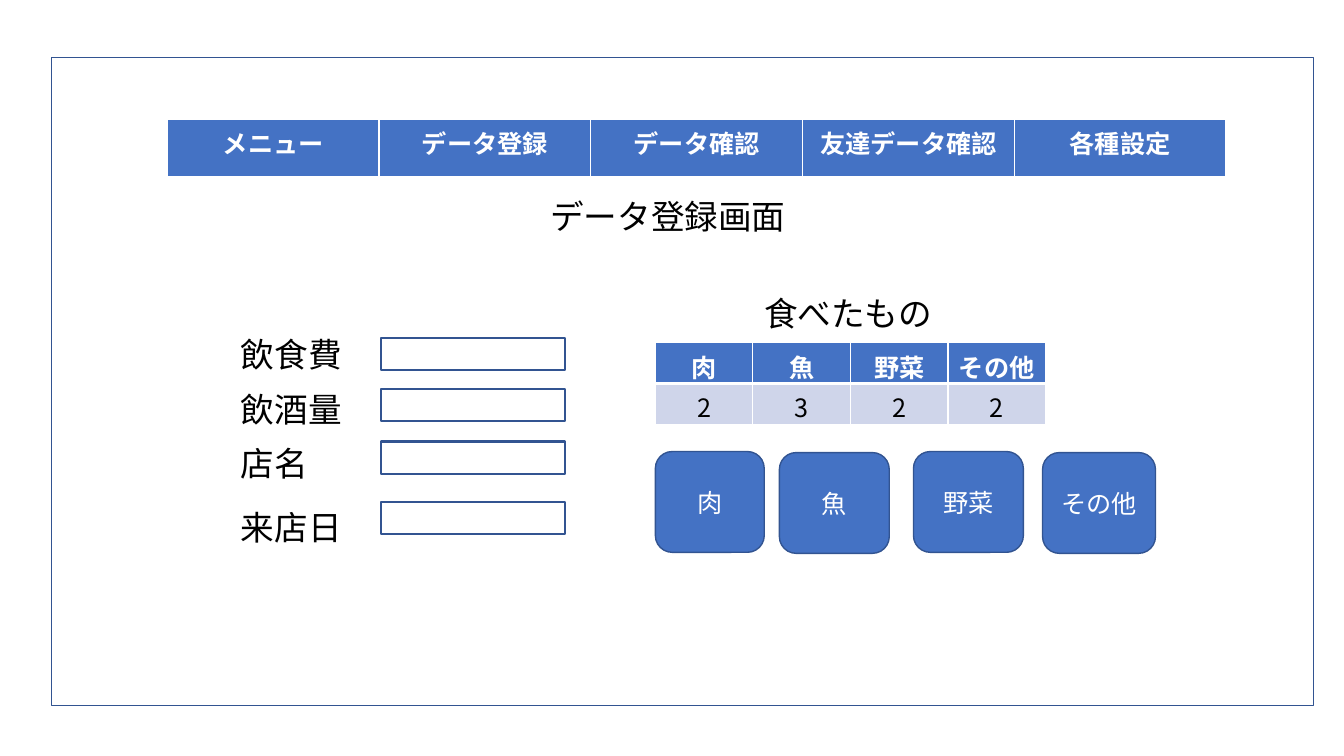
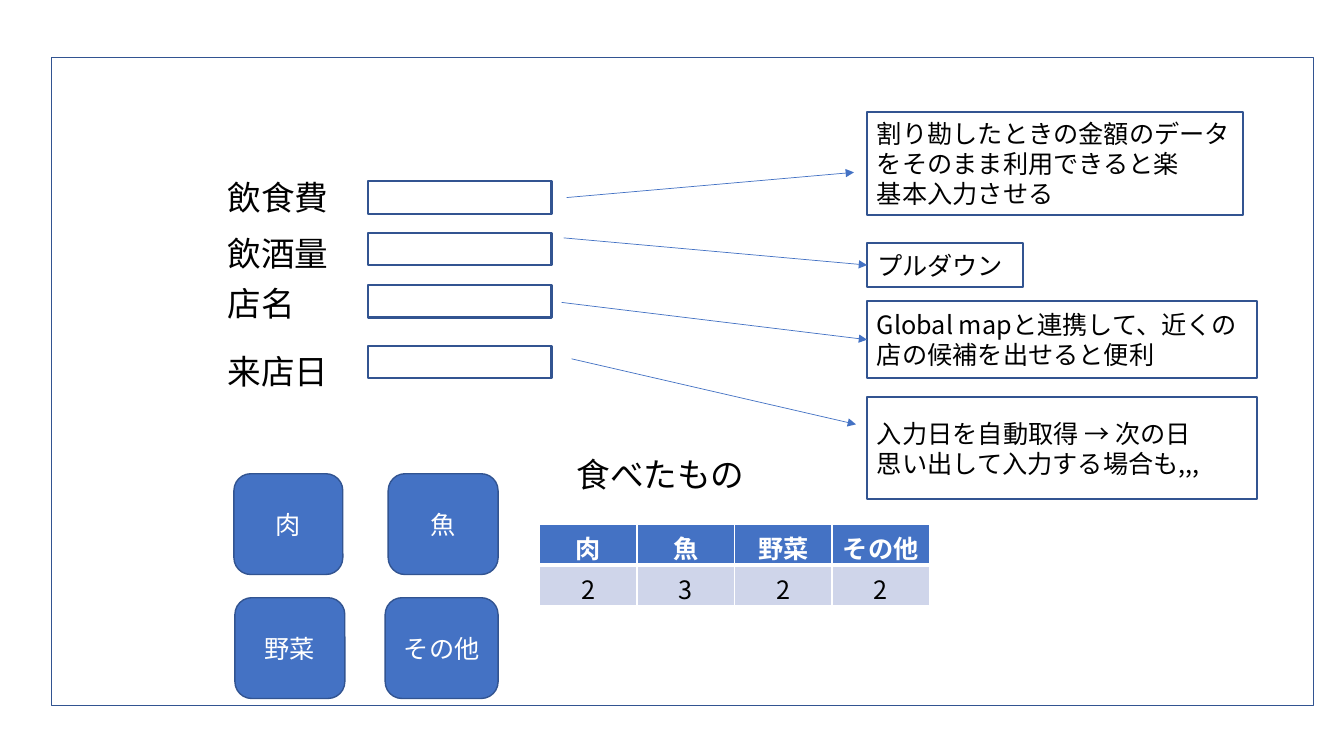
"""Build two wireframe slides for a dining log: the entry screen and its notes."""
from dataclasses import dataclass

from lxml import etree
from pptx import Presentation
from pptx.dml.color import RGBColor
from pptx.enum.shapes import MSO_CONNECTOR, MSO_SHAPE
from pptx.enum.text import MSO_ANCHOR, MSO_AUTO_SIZE, PP_ALIGN
from pptx.oxml.ns import qn
from pptx.util import Inches, Pt

RECTANGLE, ROUNDED = MSO_SHAPE.RECTANGLE, MSO_SHAPE.ROUNDED_RECTANGLE
STRAIGHT = MSO_CONNECTOR.STRAIGHT
LEFT, CENTER = PP_ALIGN.LEFT, PP_ALIGN.CENTER
TOP, MIDDLE = MSO_ANCHOR.TOP, MSO_ANCHOR.MIDDLE
FIT_TEXT = MSO_AUTO_SIZE.SHAPE_TO_FIT_TEXT

COLORS = {"blue": "4472C4", "outline": "325491", "band": "CFD5EA",
          "white": "FFFFFF", "black": "000000"}
FONT = "Noto Sans CJK JP"
HEADING_SIZE, BODY_SIZE = 24, 18

# The slide is a grid of square units, 133.3 columns by 75 rows.
COLUMNS, ROWS = 133.3, 75
UNIT = Inches(0.1)

FOODS = ("肉", "魚", "野菜", "その他")
COUNTS = ("2", "3", "2", "2")
MENU = ("メニュー", "データ登録", "データ確認", "友達データ確認", "各種設定")
LABELS = ("飲食費", "飲酒量", "店名", "来店日")
FIELD_OFFSETS = (0, 5.1, 10.3, 16.3)
LABEL_WIDTHS = (12.5, 12.5, 9.1, 12.5)
FIELD_GAP = 14.9
BUTTON_WIDTHS = (10.8, 10.9, 10.9, 11.2)
BUTTON_HEIGHT = 10


def grid(count: float) -> int:
    """Turn a number of grid units into a length."""
    return round(count * UNIT)


@dataclass(frozen=True)
class Area:
    """A block of grid columns and rows."""
    left: float
    top: float
    width: float
    height: float

    def lengths(self) -> tuple:
        """Give left, top, width and height as lengths."""
        return tuple(map(grid, (self.left, self.top, self.width, self.height)))


@dataclass(frozen=True)
class Style:
    """Fill, outline and text look of a shape."""
    fill: str | None = None
    line: float = 1.5
    color: str = "black"
    align: int = LEFT


@dataclass(frozen=True)
class Note:
    """A remark box and the arrow that points at it."""
    area: Area
    lines: tuple
    start: tuple
    end: tuple


FRAME_AREA = Area(5.1, 5.7, 125.2, 64.3)
FRAME = Style(line=1)
OUTLINED = Style()
BUTTON = Style("blue", 1, "white", CENTER)

NOTES = (
    Note(Area(86, 11.1, 37.3, 10.2),
         ("割り勘したときの金額のデータをそのまま利用できると楽", "基本入力させる"),
         (56.2, 19.6), (84.7, 17.1)),
    Note(Area(86, 24.1, 15.5, 4.4), ("プルダウン",), (55.9, 23.6), (86, 26.3)),
    Note(Area(86, 29.9, 38.7, 7.6),
         ("Global mapと連携して、近くの店の候補を出せると便利",),
         (55.7, 30), (86, 33.7)),
    Note(Area(86, 39.4, 38.7, 10.1),
         ("入力日を自動取得 → 次の日", "思い出して入力する場合も,,,"),
         (56.7, 35.6), (84.9, 42.1)),
)


def rgb(name: str) -> RGBColor:
    """Look up a colour by name."""
    return RGBColor.from_string(COLORS[name])


def write(frame, lines: tuple, size: float, color: str, align: int = LEFT,
          bold: bool = False) -> None:
    """Write one paragraph for each line."""
    for index, line in enumerate(lines):
        para = frame.add_paragraph() if index else frame.paragraphs[0]
        para.alignment = align
        span = para.add_run()
        span.text = line
        span.font.size = Pt(size)
        span.font.bold = bold
        span.font.color.rgb = rgb(color)
        span.font.name = FONT
        east_asian = etree.SubElement(span._r.get_or_add_rPr(), qn("a:ea"))
        east_asian.set("typeface", FONT)


def add_heading(page, text: str, area: Area) -> None:
    """Add a large line of plain text."""
    box = page.shapes.add_textbox(*area.lengths())
    box.text_frame.word_wrap = True
    box.text_frame.auto_size = FIT_TEXT
    box.text_frame.vertical_anchor = TOP
    write(box.text_frame, (text,), HEADING_SIZE, "black")


def add_panel(page, kind: int, area: Area, style: Style, lines: tuple = ()) -> None:
    """Add an outlined shape, with text if there is any."""
    box = page.shapes.add_shape(kind, *area.lengths())
    box.shadow.inherit = False
    if style.fill:
        box.fill.solid()
        box.fill.fore_color.rgb = rgb(style.fill)
    else:
        box.fill.background()
    box.line.color.rgb = rgb("outline")
    box.line.width = Pt(style.line)
    box.text_frame.word_wrap = True
    box.text_frame.vertical_anchor = MIDDLE
    write(box.text_frame, lines, BODY_SIZE, style.color, style.align)


def add_arrow(page, start: tuple, end: tuple) -> None:
    """Add a thin arrow between two grid points."""
    arrow = page.shapes.add_connector(STRAIGHT, *map(grid, start + end))
    arrow.line.color.rgb = rgb("blue")
    arrow.line.width = Pt(0.5)
    properties = arrow.element.spPr
    etree.SubElement(properties.find(qn("a:ln")), qn("a:tailEnd"), type="triangle")
    etree.SubElement(properties, qn("a:effectLst"))


def add_borders(cell_element, top: float, bottom: float) -> None:
    """Give a table cell white borders, thin at its sides."""
    properties = cell_element.find(qn("a:tcPr"))
    widths = {"a:lnL": 1, "a:lnR": 1, "a:lnT": top, "a:lnB": bottom}
    for index, (tag, width) in enumerate(widths.items()):
        border = etree.Element(qn(tag), w=str(Pt(width)))
        fill = etree.SubElement(border, qn("a:solidFill"))
        etree.SubElement(fill, qn("a:srgbClr"), val=COLORS["white"])
        properties.insert(index, border)


def add_grid_table(page, area: Area, rows: tuple) -> None:
    """Add a table with a blue header row and pale rows below it."""
    columns = len(rows[0])
    holder = page.shapes.add_table(len(rows), columns, *area.lengths())
    table = holder.table
    table.first_row = table.horz_banding = False
    for column in table.columns:
        column.width = grid(area.width / columns)
    for row in table.rows:
        row.height = grid(area.height / len(rows))
    elements = holder.element.iter(qn("a:tc"))
    for index, (cell, element) in enumerate(zip(table.iter_cells(), elements)):
        row, column = divmod(index, columns)
        header = row == 0
        cell.fill.solid()
        cell.fill.fore_color.rgb = rgb("blue" if header else "band")
        write(cell.text_frame, (rows[row][column],), BODY_SIZE,
              "white" if header else "black", CENTER, header)
        add_borders(element, 3 if row == 1 else 1, 3 if header else 1)


def add_form(page, left: float, top: float, label_tops: tuple) -> None:
    """Add the four labels and their entry fields."""
    for label, label_top, width in zip(LABELS, label_tops, LABEL_WIDTHS):
        add_heading(page, label, Area(left, label_top, width, 5))
    for offset in FIELD_OFFSETS:
        field = Area(left + FIELD_GAP, top + offset, 18.2, 3.2)
        add_panel(page, RECTANGLE, field, OUTLINED)


def add_foods(page, heading: tuple, table: tuple, corners: tuple) -> None:
    """Add the food heading, the buttons and the table of counts."""
    add_heading(page, "食べたもの", Area(*heading, 19.1, 5))
    for food, corner, width in zip(FOODS, corners, BUTTON_WIDTHS):
        add_panel(page, ROUNDED, Area(*corner, width, BUTTON_HEIGHT), BUTTON, (food,))
    add_grid_table(page, Area(*table, 38.7, 8.1), (FOODS, COUNTS))


def add_page(deck):
    """Add a blank slide with the screen frame."""
    page = deck.slides.add_slide(deck.slide_layouts[6])
    add_panel(page, RECTANGLE, FRAME_AREA, FRAME)
    return page


def build_entry_screen(deck) -> None:
    """Draw the data entry screen."""
    page = add_page(deck)
    add_form(page, 22.9, 33.5, (32.6, 38.1, 43.4, 49.8))
    add_foods(page, (74.8, 28.6), (65, 34),
              ((65, 44.8), (77.3, 44.9), (90.6, 44.8), (103.4, 44.9)))
    add_heading(page, "データ登録画面", Area(53.6, 18.9, 26.2, 5))
    add_grid_table(page, Area(16.6, 11.8, 105, 5.8), (MENU,))


def build_entry_notes(deck) -> None:
    """Draw the form again with remarks on each field."""
    page = add_page(deck)
    add_form(page, 21.6, 18, (17.1, 22.6, 27.6, 34.3))
    add_foods(page, (56.2, 44.5), (53.5, 52),
              ((23.2, 47), (38.5, 47), (23.3, 59.3), (38.2, 59.3)))
    for note in NOTES:
        add_panel(page, RECTANGLE, note.area, OUTLINED, note.lines)
        add_arrow(page, note.start, note.end)


def main() -> None:
    """Build and save the deck."""
    deck = Presentation()
    deck.slide_width, deck.slide_height = grid(COLUMNS), grid(ROWS)
    build_entry_screen(deck)
    build_entry_notes(deck)
    deck.save("out.pptx")


main()
